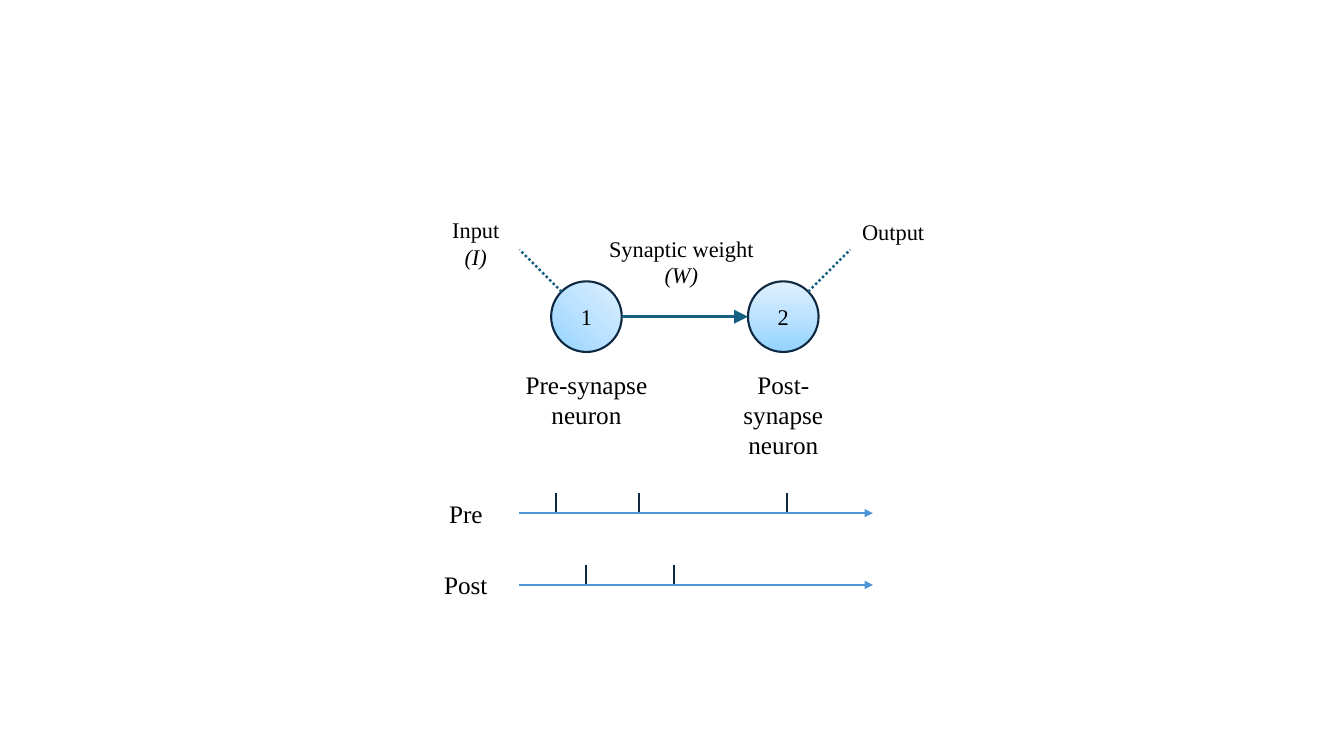
from dataclasses import dataclass

from lxml import etree
from pptx import Presentation
from pptx.dml.color import RGBColor
from pptx.enum.dml import MSO_LINE_DASH_STYLE as Dash
from pptx.enum.shapes import MSO_CONNECTOR as Link, MSO_SHAPE as Shape
from pptx.enum.text import MSO_ANCHOR as Anchor, MSO_AUTO_SIZE as Fit, PP_ALIGN as Align
from pptx.oxml import parse_xml
from pptx.oxml.ns import nsdecls, qn
from pptx.util import Cm, Pt


@dataclass(frozen=True)
class Theme:
    font: str = "Times New Roman"
    small: int = 16
    large: int = 18
    text: str = "000000"
    dark: str = "0E2841"
    teal: str = "156082"
    blue: str = "4E95D9"
    stops: tuple = ((0, "93D3FF"), (50, "BCE2FF"), (100, "DFF0FE"))
    thin: float = 1.5
    bold: float = 1.75


THEME = Theme()
RADIAL = '<a:path path="circle"><a:fillToRect t="100000" r="100000"/></a:path>'
UPWARD = '<a:lin ang="16200000" scaled="0"/>'


def write(frame, paras, size):
    """Fill a frame with centred paragraphs; parts in brackets are italic."""
    for i, parts in enumerate(paras):
        para = frame.paragraphs[0] if i == 0 else frame.add_paragraph()
        para.alignment = Align.CENTER
        para.font.name, para.font.size = THEME.font, Pt(size)
        para.font.color.rgb = RGBColor.from_string(THEME.text)
        for part in parts:
            run = para.add_run()
            run.text = part
            if part.startswith("("):
                run.font.italic = True


def label(slide, x, y, w, h, paras, size, wrap=True):
    frame = slide.shapes.add_textbox(Cm(x), Cm(y), Cm(w), Cm(h)).text_frame
    frame.word_wrap = wrap
    frame.auto_size = Fit.SHAPE_TO_FIT_TEXT
    write(frame, paras, size)


def stroke(slide, start, end, color, width, dash=None, head=None):
    ends = [Cm(v) for v in (*start, *end)]
    link = slide.shapes.add_connector(Link.STRAIGHT, *ends)
    link.line.color.rgb = RGBColor.from_string(color)
    link.line.width = Pt(width)
    if dash:
        link.line.dash_style = dash
    props = link._element.spPr
    if head:
        etree.SubElement(props.find(qn("a:ln")), qn("a:tailEnd"),
                         type="triangle", w=head, len=head)
    etree.SubElement(props, qn("a:effectLst"))


def node(slide, x, y, r, digit, shade):
    """Draw a neuron centred on (x, y)."""
    disc = slide.shapes.add_shape(Shape.OVAL, Cm(x - r), Cm(y - r), Cm(2 * r), Cm(2 * r))
    disc.shadow.inherit = False
    stops = "".join(f'<a:gs pos="{pos * 1000}"><a:srgbClr val="{color}"/></a:gs>'
                    for pos, color in THEME.stops)
    fill = parse_xml(f'<a:gradFill {nsdecls("a")} rotWithShape="1">'
                     f'<a:gsLst>{stops}</a:gsLst>{shade}</a:gradFill>')
    disc._element.spPr.find(qn("a:prstGeom")).addnext(fill)
    disc.line.color.rgb = RGBColor.from_string(THEME.dark)
    disc.line.width = Pt(THEME.thin)
    frame = disc.text_frame
    frame.margin_left = frame.margin_right = frame.margin_top = frame.margin_bottom = 0
    frame.vertical_anchor = Anchor.MIDDLE
    write(frame, [[digit]], THEME.small)


def circuit(slide, x, y):
    """Two linked neurons in a box whose top left corner is (x, y)."""
    r, gap = 0.89, 4.96
    mid = y + 2.65
    left = x + 3.88
    right = left + gap

    # Neurons, outer dotted links and captions
    for cx, side, digit, shade, name in (
            (left, -1, "1", RADIAL, "Pre-synapse"),
            (right, 1, "2", UPWARD, "Post-synapse")):
        node(slide, cx, mid, r, digit, shade)
        near, far = 0.63, 1.69
        stroke(slide, (cx + side * near, mid - near), (cx + side * far, mid - far),
               THEME.teal, THEME.bold, Dash.ROUND_DOT)
        label(slide, cx - 1.9, mid + 1.2, 3.8, 1.8, [[name], ["neuron"]],
              THEME.large, wrap=False)

    # Synapse
    stroke(slide, (left + r, mid), (right - r, mid), THEME.teal, THEME.bold, head="lg")
    label(slide, x + 3.96, y + 0.46, 4.62, 1.63,
          [["Synaptic weight"], ["(W)"]], THEME.small)

    # Input and output
    label(slide, x, y, 2.18, 1.63, [["Input ", "(I)"]], THEME.small)
    label(slide, x + 10.52, y + 0.03, 2.18, 0.94, [["Output"]], THEME.small)


def train(slide, x, y, name, spikes):
    """A named time axis with spikes, in a box from (x, y)."""
    start, base = x + 2.18, y + 0.51
    label(slide, x, y, 1.68, 1.02, [[name]], THEME.large)
    for t in spikes:
        stroke(slide, (start + t, y), (start + t, base), THEME.dark, THEME.thin)
    stroke(slide, (start, base), (start + 8.92, base), THEME.blue, THEME.thin, head="med")


def main():
    deck = Presentation()
    deck.slide_width, deck.slide_height = Cm(33.87), Cm(19.05)
    slide = deck.slides.add_slide(deck.slide_layouts[6])
    left = 10.9
    circuit(slide, left, 5.33)
    trains = {"Pre": (0.94, 3.02, 6.76), "Post": (1.68, 3.91)}
    for i, (name, spikes) in enumerate(trains.items()):
        train(slide, left, 12.42 + 1.81 * i, name, spikes)
    deck.save("out.pptx")


if __name__ == "__main__":
    main()
